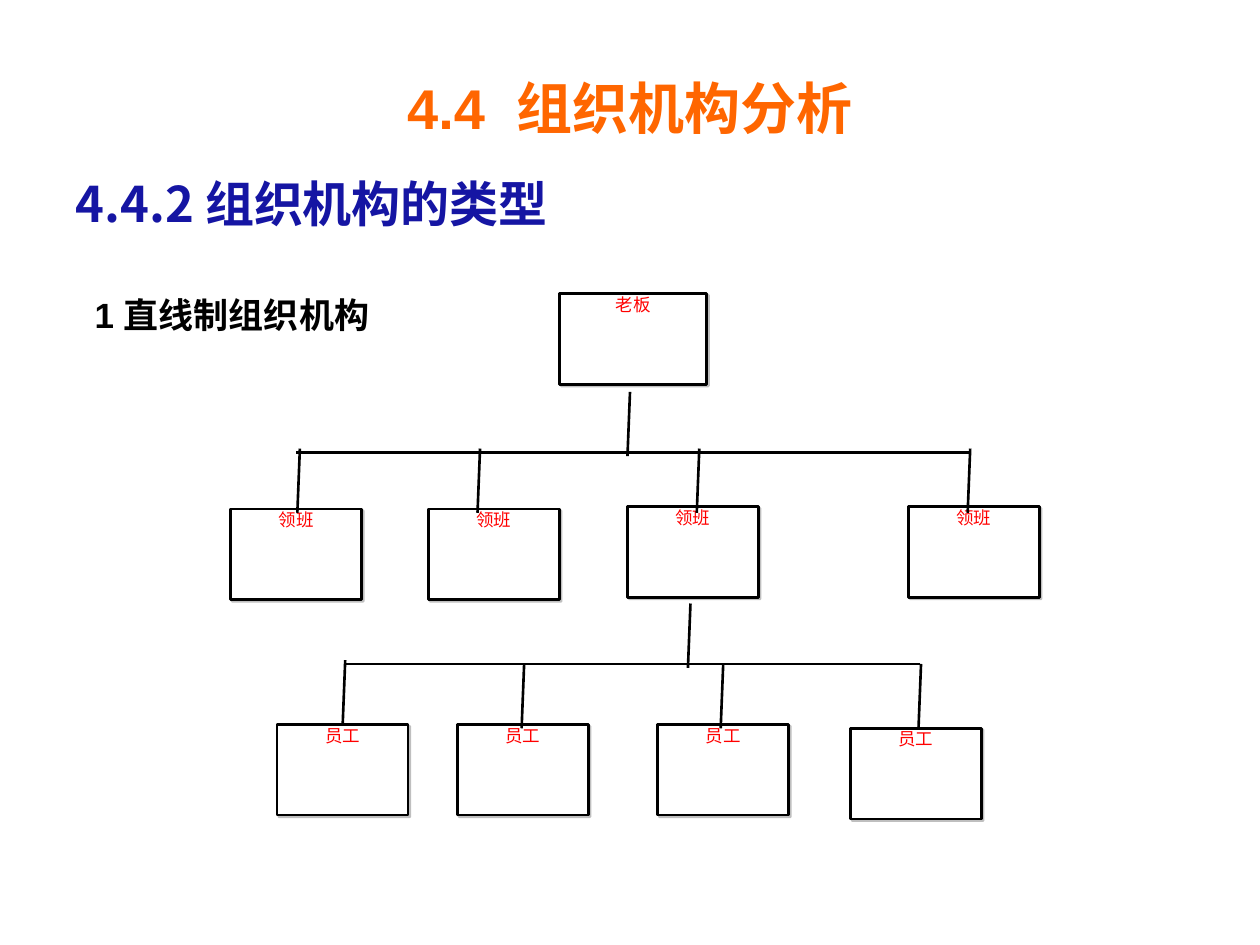
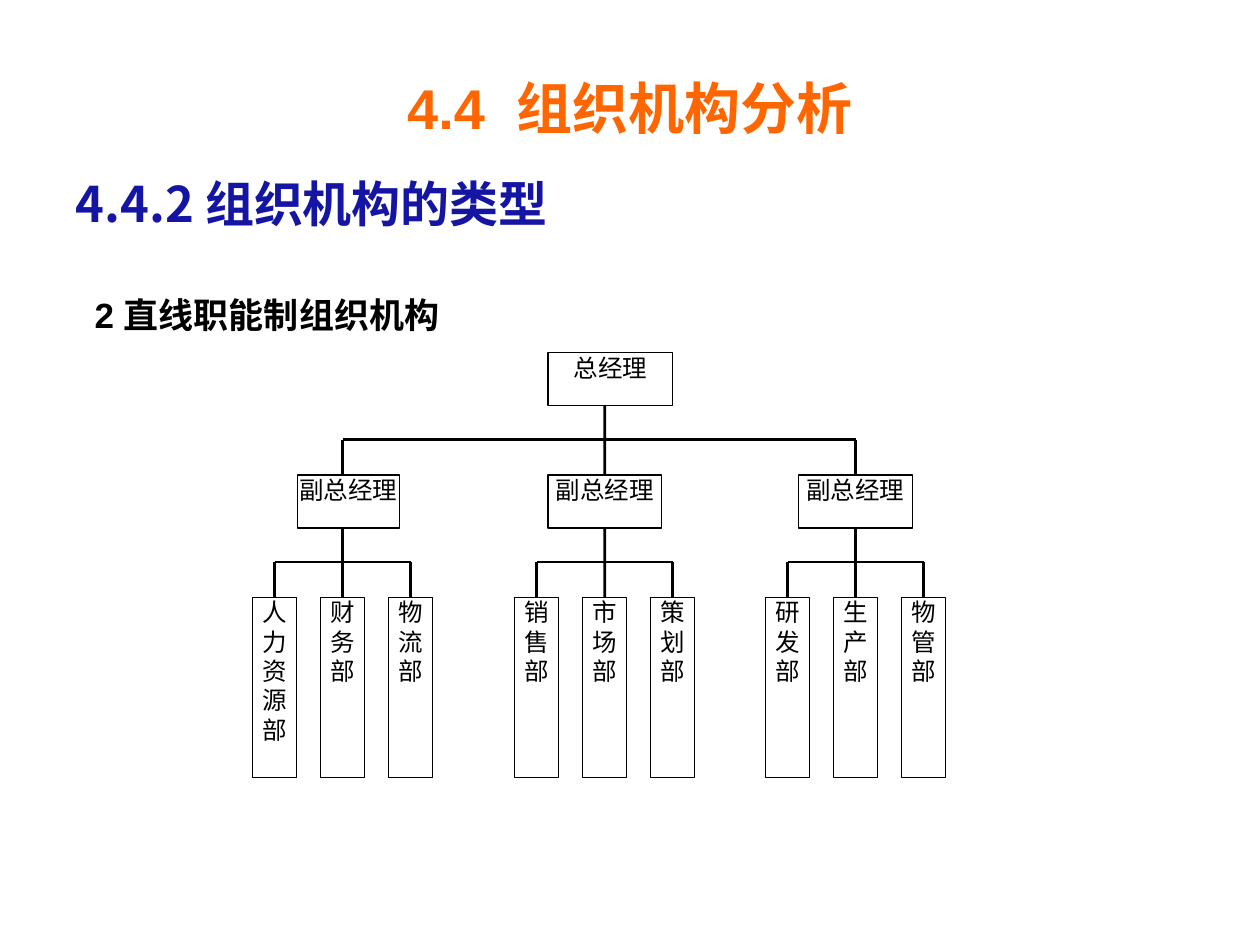
from dataclasses import dataclass

from lxml import etree
from pptx import Presentation
from pptx.dml.color import RGBColor
from pptx.enum.shapes import MSO_CONNECTOR, MSO_SHAPE
from pptx.enum.text import MSO_ANCHOR, PP_ALIGN
from pptx.oxml.ns import qn
from pptx.util import Inches, Pt

RECTANGLE = MSO_SHAPE.RECTANGLE
STRAIGHT = MSO_CONNECTOR.STRAIGHT
CENTER, JUSTIFY = PP_ALIGN.CENTER, PP_ALIGN.JUSTIFY
TOP, MIDDLE = MSO_ANCHOR.TOP, MSO_ANCHOR.MIDDLE

ORANGE, NAVY, RED = "FF6600", "1515A3", "FF0000"
BLACK, WHITE, GRAY = "000000", "FFFFFF", "808080"
EAST_ASIAN = "Noto Sans CJK SC"
LINE_WIDTH = 1.5
JOIN_TOLERANCE = Inches(0.02)
TOP_SITE, BOTTOM_SITE = 0, 2


@dataclass(frozen=True)
class TextStyle:
    size: float
    font: str
    color: str
    bold: bool = False


@dataclass(frozen=True)
class BoxStyle:
    text: TextStyle
    line_width: float
    shadow: bool


@dataclass(frozen=True)
class Box:
    left: float
    top: float
    width: float
    height: float
    lines: tuple[str, ...]


@dataclass(frozen=True)
class Branch:
    center: float
    deputy_left: float
    deputy_width: float
    departments: tuple[str, ...]


TITLE = TextStyle(32, "Arial", ORANGE, True)
HEADING = TextStyle(28, EAST_ASIAN, NAVY, True)
SUBHEADING = TextStyle(20, "Arial", BLACK, True)
STAFF_BOX = BoxStyle(TextStyle(10, "Times New Roman", RED), LINE_WIDTH, True)
OFFICE_BOX = BoxStyle(TextStyle(14, "Times New Roman", BLACK), 0, False)

STAFF_WIDTH, STAFF_HEIGHT = 1.04, 0.72
STEM_SLANT, STEM_HEIGHT = 0.02, 0.51
OFFICE_HEIGHT = 0.42
DEPARTMENT_WIDTH, DEPARTMENT_HEIGHT, DEPARTMENT_PITCH = 0.35, 1.43, 0.54
MANAGER_TOP, DEPUTY_TOP, DEPARTMENT_TOP = 2.8, 3.77, 4.74
DEPUTY_BAR, DEPARTMENT_BAR = 3.49, 4.46

BOSS = Box(4.44, 2.33, 1.17, STAFF_HEIGHT, ("老板",))
FOREMEN = ((1.83, 4.04), (3.4, 4.04), (4.98, 4.02), (7.21, 4.02))
WORKERS = ((2.2, 5.75), (3.63, 5.75), (5.22, 5.75), (6.75, 5.78))
STAFF_BARS = ((2.35, 7.7, 3.59), (2.74, 7.3, 5.27))
STEMS = (
    (5, 3.11), (2.38, 3.56), (3.81, 3.56), (5.55, 3.56), (7.7, 3.56),
    (5.48, 4.79), (2.74, 5.24), (4.16, 5.27), (5.74, 5.27), (7.31, 5.27),
)
BRANCHES = (
    Branch(2.72, 2.36, 0.81, ("人力资源部", "财务部", "物流部")),
    Branch(4.8, 4.35, 0.9, ("销售部", "市场部", "策划部")),
    Branch(6.79, 6.34, 0.9, ("研发部", "生产部", "物管部")),
)


def rgb(color: str) -> RGBColor:
    return RGBColor.from_string(color)


def add_run(paragraph, text: str, style: TextStyle, spacing: float = 0) -> None:
    run = paragraph.add_run()
    run.text = text
    run.font.size = Pt(style.size)
    run.font.name = style.font
    run.font.bold = style.bold
    run.font.color.rgb = rgb(style.color)
    properties = run._r.get_or_add_rPr()
    properties.find(qn("a:latin")).addnext(
        etree.Element(qn("a:ea"), typeface=EAST_ASIAN)
    )
    if spacing:
        properties.set("spc", str(round(spacing * 100)))


def place(shape, left: float, top: float, width: float, height: float) -> None:
    shape.left, shape.top = Inches(left), Inches(top)
    shape.width, shape.height = Inches(width), Inches(height)


def format_body_paragraph(paragraph, margin: float, indent: float) -> None:
    properties = paragraph._p.get_or_add_pPr()
    properties.set("marL", str(Inches(margin)))
    properties.set("indent", str(Inches(indent)))
    etree.SubElement(properties, qn("a:buNone"))
    paragraph.alignment = JUSTIFY
    paragraph.space_before = Pt(0)


def add_section_slide(presentation, subheading: str):
    slide = presentation.slides.add_slide(presentation.slide_layouts[1])
    title, body = slide.placeholders
    place(title, 0.5, 0.5, 9, 0.7)
    title.text_frame.vertical_anchor = MIDDLE
    paragraph = title.text_frame.paragraphs[0]
    paragraph.alignment = CENTER
    add_run(paragraph, "4.4", TITLE)
    add_run(paragraph, " ", TITLE, spacing=9)
    add_run(paragraph, "组织机构分析", TITLE)

    place(body, 0.5, 1.33, 9, 5.58)
    paragraph = body.text_frame.paragraphs[0]
    format_body_paragraph(paragraph, 0.2, -0.2)
    add_run(paragraph, "4.4.2 组织机构的类型", HEADING)
    paragraph = body.text_frame.add_paragraph()
    format_body_paragraph(paragraph, 0.15, 0)
    paragraph.space_before = Pt(25)
    paragraph.line_spacing = 1.4
    add_run(paragraph, subheading, SUBHEADING)
    return slide


def add_shadow(shape) -> None:
    effects = shape._element.spPr.find(qn("a:effectLst"))
    shadow = etree.SubElement(
        effects, qn("a:outerShdw"), blurRad="0", dist=str(Pt(1.4)),
        dir=str(45 * 60000), algn="ctr", rotWithShape="0",
    )
    color = etree.SubElement(shadow, qn("a:srgbClr"), val=GRAY)
    etree.SubElement(color, qn("a:alpha"), val="50000")


def add_box(slide, box: Box, style: BoxStyle):
    shape = slide.shapes.add_shape(
        RECTANGLE, Inches(box.left), Inches(box.top),
        Inches(box.width), Inches(box.height),
    )
    shape.shadow.inherit = False
    if style.shadow:
        add_shadow(shape)
    shape.fill.solid()
    shape.fill.fore_color.rgb = rgb(WHITE)
    shape.line.color.rgb = rgb(BLACK)
    shape.line.width = Pt(style.line_width)
    frame = shape.text_frame
    frame.word_wrap = True
    frame.vertical_anchor = TOP
    frame.margin_left = frame.margin_right = 0
    frame.margin_top = frame.margin_bottom = 0
    for index, line in enumerate(box.lines):
        paragraph = frame.add_paragraph() if index else frame.paragraphs[0]
        paragraph.alignment = CENTER
        add_run(paragraph, line, style.text)
    return shape


def is_near(x: int, y: int, box, edge: int) -> bool:
    center = box.left + box.width // 2
    return abs(x - center) < JOIN_TOLERANCE and abs(y - edge) < JOIN_TOLERANCE


def add_line(slide, boxes: list, x1: float, y1: float, x2: float, y2: float) -> None:
    connector = slide.shapes.add_connector(
        STRAIGHT, Inches(x1), Inches(y1), Inches(x2), Inches(y2)
    )
    connector.line.color.rgb = rgb(BLACK)
    connector.line.width = Pt(LINE_WIDTH)
    etree.SubElement(connector._element.spPr, qn("a:effectLst"))
    for box in boxes:
        if is_near(Inches(x1), Inches(y1), box, box.top + box.height):
            connector.begin_connect(box, BOTTOM_SITE)
        if is_near(Inches(x2), Inches(y2), box, box.top):
            connector.end_connect(box, TOP_SITE)


def build_line_organization(presentation) -> None:
    slide = add_section_slide(presentation, "1 直线制组织机构")
    boxes = [add_box(slide, BOSS, STAFF_BOX)]
    for role, positions in (("领班", FOREMEN), ("员工", WORKERS)):
        for left, top in positions:
            box = Box(left, top, STAFF_WIDTH, STAFF_HEIGHT, (role,))
            boxes.append(add_box(slide, box, STAFF_BOX))
    for start, end, height in STAFF_BARS:
        add_line(slide, boxes, start, height, end, height)
    for x, y in STEMS:
        add_line(slide, boxes, x, y, x - STEM_SLANT, y + STEM_HEIGHT)


def build_functional_organization(presentation) -> None:
    slide = add_section_slide(presentation, "2 直线职能制组织机构")
    manager = Box(4.35, MANAGER_TOP, 0.99, OFFICE_HEIGHT, ("总经理",))
    boxes = [add_box(slide, manager, OFFICE_BOX)]
    for branch in BRANCHES:
        deputy = Box(
            branch.deputy_left, DEPUTY_TOP, branch.deputy_width,
            OFFICE_HEIGHT, ("副总经理",),
        )
        boxes.append(add_box(slide, deputy, OFFICE_BOX))
        for offset, name in enumerate(branch.departments, start=-1):
            center = branch.center + offset * DEPARTMENT_PITCH
            department = Box(
                center - DEPARTMENT_WIDTH / 2, DEPARTMENT_TOP,
                DEPARTMENT_WIDTH, DEPARTMENT_HEIGHT, tuple(name),
            )
            boxes.append(add_box(slide, department, OFFICE_BOX))

    left, middle, right = (branch.center for branch in BRANCHES)
    add_line(slide, boxes, left, DEPUTY_BAR, right, DEPUTY_BAR)
    add_line(slide, boxes, middle, MANAGER_TOP + OFFICE_HEIGHT, middle, DEPUTY_TOP)
    for center in (left, right):
        add_line(slide, boxes, center, DEPUTY_BAR, center, DEPUTY_TOP)
    for center in (left, middle, right):
        first, last = center - DEPARTMENT_PITCH, center + DEPARTMENT_PITCH
        add_line(slide, boxes, first, DEPARTMENT_BAR, last, DEPARTMENT_BAR)
        add_line(
            slide, boxes, center, DEPUTY_TOP + OFFICE_HEIGHT, center, DEPARTMENT_TOP
        )
        for x in (first, last):
            add_line(slide, boxes, x, DEPARTMENT_BAR, x, DEPARTMENT_TOP)


def main() -> None:
    presentation = Presentation()
    presentation.slide_width, presentation.slide_height = Inches(10), Inches(7.5)
    build_line_organization(presentation)
    build_functional_organization(presentation)
    presentation.save("out.pptx")


if __name__ == "__main__":
    main()
